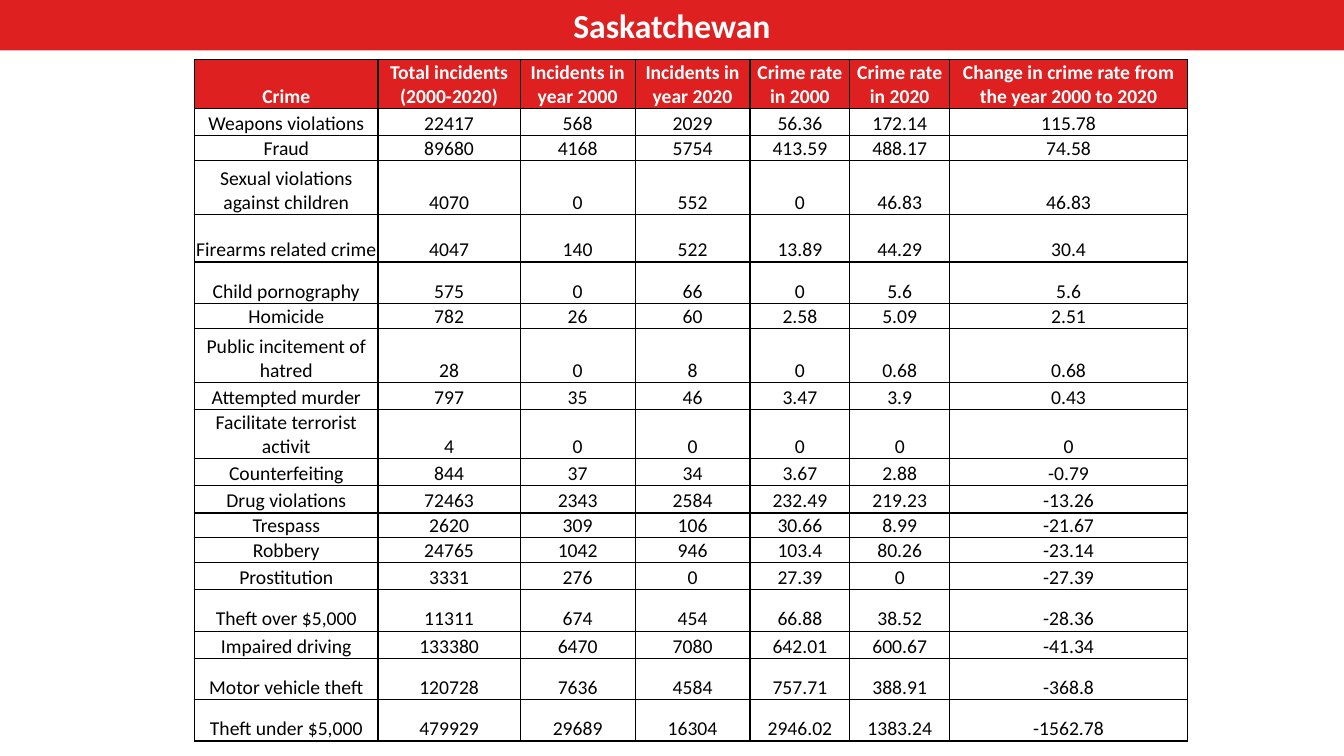
from dataclasses import dataclass

from lxml import etree
from pptx import Presentation
from pptx import util as u
from pptx.dml.color import RGBColor
from pptx.enum import text
from pptx.oxml import ns

HEADERS = ["Crime", "Total incidents (2000-2020)", "Incidents in year 2000",
           "Incidents in year 2020", "Crime rate in 2000", "Crime rate in 2020",
           "Change in crime rate from the year 2000 to 2020"]

COLUMN_WIDTHS = [182, 141, 114, 114, 99, 99, 236]
HEADER_HEIGHT = 47

# Row height in px, then the cell texts
CRIMES = [
    (27, "Weapons violations", "22417", "568", "2029", "56.36", "172.14", "115.78"),
    (24, "Fraud", "89680", "4168", "5754", "413.59", "488.17", "74.58"),
    (54, "Sexual violations against children", "4070", "0", "552", "0", "46.83", "46.83"),
    (47, "Firearms related crime", "4047", "140", "522", "13.89", "44.29", "30.4"),
    (41, "Child pornography", "575", "0", "66", "0", "5.6", "5.6"),
    (24, "Homicide", "782", "26", "60", "2.58", "5.09", "2.51"),
    (54, "Public incitement of hatred", "28", "0", "8", "0", "0.68", "0.68"),
    (27, "Attempted murder", "797", "35", "46", "3.47", "3.9", "0.43"),
    (47, "Facilitate terrorist activit", "4", "0", "0", "0", "0", "0"),
    (27, "Counterfeiting", "844", "37", "34", "3.67", "2.88", "-0.79"),
    (27, "Drug violations", "72463", "2343", "2584", "232.49", "219.23", "-13.26"),
    (24, "Trespass", "2620", "309", "106", "30.66", "8.99", "-21.67"),
    (24, "Robbery", "24765", "1042", "946", "103.4", "80.26", "-23.14"),
    (27, "Prostitution", "3331", "276", "0", "27.39", "0", "-27.39"),
    (41, "Theft over $5,000", "11311", "674", "454", "66.88", "38.52", "-28.36"),
    (27, "Impaired driving", "133380", "6470", "7080", "642.01", "600.67", "-41.34"),
    (41, "Motor vehicle theft", "120728", "7636", "4584", "757.71", "388.91", "-368.8"),
    (41, "Theft under $5,000", "479929", "29689", "16304", "2946.02", "1383.24", "-1562.78"),
]


@dataclass(frozen=True)
class Theme:
    font: str = "Calibri"
    red: str = "DF2020"
    white: str = "FFFFFF"
    black: str = "000000"
    title_size: int = 24
    table_size: int = 14
    border: int = 1


def px(n):
    """100 px to the inch."""
    return u.Emu(n * 9144)


def apply(target, values):
    for name, value in values.items():
        setattr(target, name, value)


class Deck:
    def __init__(self, theme, width, height):
        self.theme = theme
        self.prs = Presentation()
        apply(self.prs, {"slide_width": px(width), "slide_height": px(height)})
        self.s = None

    def add_slide(self):
        self.s = self.prs.slides.add_slide(self.prs.slide_layouts[5])  # title only

    def fill(self, target, color):
        target.fill.solid()
        target.fill.fore_color.rgb = RGBColor.from_string(color)

    def put_text(self, tf, content, size, color, bold):
        p = tf.paragraphs[0]
        p.alignment = text.PP_ALIGN.CENTER
        r = p.add_run()
        r.text = content
        apply(r.font, {"name": self.theme.font, "size": u.Pt(size), "bold": bold})
        r.font.color.rgb = RGBColor.from_string(color)

    def title_band(self, content, left, top, width, height):
        sp = self.s.shapes.title
        apply(sp, {"left": px(left), "top": px(top),
                   "width": px(width), "height": px(height)})
        self.fill(sp, self.theme.red)
        tf = sp.text_frame
        apply(tf, {"word_wrap": True, "auto_size": text.MSO_AUTO_SIZE.NONE,
                   "vertical_anchor": text.MSO_ANCHOR.MIDDLE,
                   "margin_top": px(5), "margin_bottom": px(5)})
        self.put_text(tf, content, self.theme.title_size, self.theme.white, True)

    def borders(self, cell):
        tc_pr = cell._tc.get_or_add_tcPr()
        for i, side in enumerate(("lnL", "lnR", "lnT", "lnB")):
            ln = etree.Element(ns.qn(f"a:{side}"), w=str(u.Pt(self.theme.border)))
            solid = etree.SubElement(ln, ns.qn("a:solidFill"))
            etree.SubElement(solid, ns.qn("a:srgbClr"), val=self.theme.black)
            tc_pr.insert(i, ln)  # borders come before the fill

    def cell(self, cell, content, is_header):
        apply(cell, {"vertical_anchor": text.MSO_ANCHOR.BOTTOM,
                     "margin_left": px(1), "margin_right": px(1),
                     "margin_top": px(1), "margin_bottom": 0})
        if is_header:
            self.fill(cell, self.theme.red)
        else:
            cell.fill.background()
        self.borders(cell)
        color = self.theme.white if is_header else self.theme.black
        self.put_text(cell.text_frame, content, self.theme.table_size, color, is_header)

    def table(self, rows, widths, heights, left, top):
        frame = self.s.shapes.add_table(len(rows), len(widths), px(left), px(top),
                                        px(sum(widths)), px(sum(heights)))
        table = frame.table
        table.horz_banding = False
        for column, width in zip(table.columns, widths):
            column.width = px(width)
        for i, (row, height) in enumerate(zip(rows, heights)):
            table.rows[i].height = px(height)
            for j, content in enumerate(row):
                self.cell(table.cell(i, j), content, i == 0)


def main():
    deck = Deck(Theme(), 1333, 750)
    deck.add_slide()

    # Title band across the top
    deck.title_band("Saskatchewan", 0, 0, 1333, 50)

    # Crime table
    rows = [HEADERS] + [crime[1:] for crime in CRIMES]
    heights = [HEADER_HEIGHT] + [crime[0] for crime in CRIMES]
    deck.table(rows, COLUMN_WIDTHS, heights, 193, 59)

    deck.prs.save("out.pptx")


if __name__ == "__main__":
    main()
